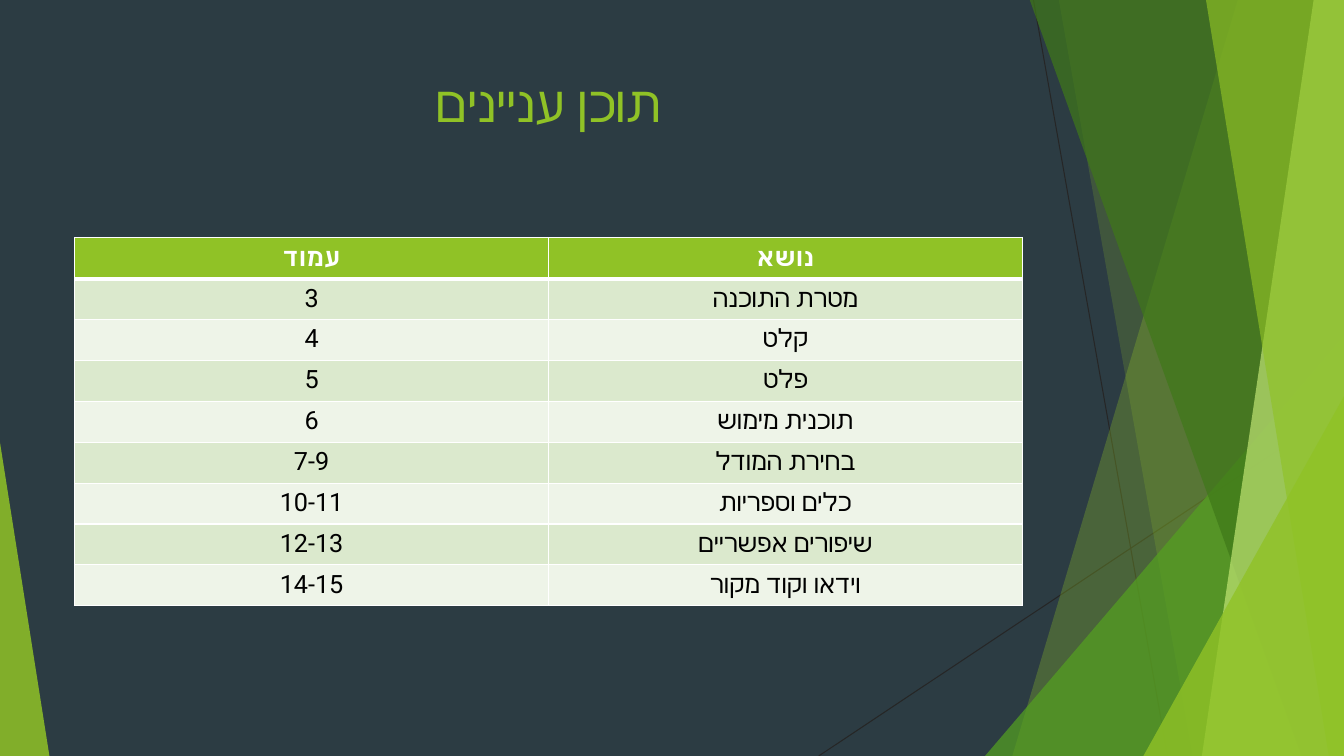
from dataclasses import dataclass

import lxml.etree
import pptx
import pptx.dml.color
import pptx.enum.shapes
import pptx.enum.text
import pptx.oxml.ns
import pptx.util

Inches = pptx.util.Inches
qn = pptx.oxml.ns.qn

FONT = "Roboto"
COLORS = {
    "background": "2C3C43", "hairline": "262626", "lime": "90C226",
    "green": "54A021", "forest": "3F7819", "pale": "C0E474",
    "white": "FFFFFF", "black": "000000",
    "odd_row": "DBE9CD", "even_row": "EEF4E8",
}
WIDTH, HEIGHT = 13.33, 7.5
TOP = -0.01


@dataclass
class Band:
    """Facet reaching the right edge; its left side runs from top_x to bottom_x."""
    top_x: float
    bottom_x: float
    color: str
    opacity: int


@dataclass
class Corner:
    """Right-angled triangle standing on the bottom edge."""
    left: float
    top: float
    width: float
    peak: float
    color: str
    opacity: int


HAIRLINES = [(10.25, 0, 11.58, HEIGHT), (WIDTH, 4.03, 8.12, HEIGHT)]
FACETS = [
    Band(12.28, 10.04, "lime", 30),
    Band(10.5, 11.83, "lime", 20),
    Corner(9.77, 3.33, 3.56, 1, "green", 72),
    Band(10.21, 12.91, "forest", 70),
    Band(13.03, 11.92, "pale", 70),
    Band(11.96, 13.18, "lime", 65),
    Corner(11.34, 3.93, 1.99, 1, "lime", 80),
    Corner(0, 4.39, 0.49, 0, "lime", 85),
]
ROWS = [
    ("עמוד", "נושא"),
    ("3", "מטרת התוכנה"),
    ("4", "קלט"),
    ("5", "פלט"),
    ("6", "תוכנית מימוש"),
    ("7-9", "בחירת המודל"),
    ("10-11", "כלים וספריות"),
    ("12-13", "שיפורים אפשריים"),
    ("14-15", "וידאו וקוד מקור"),
]


def rgb(name: str) -> pptx.dml.color.RGBColor:
    return pptx.dml.color.RGBColor.from_string(COLORS[name])


def write(frame, text: str, *, size: float, color: str, bold: bool = False) -> None:
    """Put one centred right-to-left paragraph into a text frame."""
    para = frame.paragraphs[0]
    para.alignment = pptx.enum.text.PP_ALIGN.CENTER
    para._p.get_or_add_pPr().set("rtl", "1")
    span = para.add_run()
    span.text = text
    span.font.size = pptx.util.Pt(size)
    span.font.bold = bold
    span.font.color.rgb = rgb(color)
    span.font.name = FONT
    lxml.etree.SubElement(span._r.get_or_add_rPr(), qn("a:cs"), typeface=FONT)


def add_hairline(page, x1: float, y1: float, x2: float, y2: float) -> None:
    line = page.shapes.add_connector(
        pptx.enum.shapes.MSO_CONNECTOR.STRAIGHT,
        Inches(x1), Inches(y1), Inches(x2), Inches(y2))
    line.line.color.rgb = rgb("hairline")
    line.line.width = pptx.util.Pt(0.75)
    lxml.etree.SubElement(line._element.spPr, qn("a:effectLst"))


def add_facet(page, facet: Band | Corner) -> None:
    if isinstance(facet, Band):
        builder = page.shapes.build_freeform(Inches(facet.top_x), Inches(TOP))
        corners = [(WIDTH, TOP), (WIDTH, HEIGHT), (facet.bottom_x, HEIGHT)]
        builder.add_line_segments([(Inches(x), Inches(y)) for x, y in corners])
        shape = builder.convert_to_shape()
    else:
        shape = page.shapes.add_shape(
            pptx.enum.shapes.MSO_SHAPE.ISOSCELES_TRIANGLE,
            Inches(facet.left), Inches(facet.top),
            Inches(facet.width), Inches(HEIGHT - facet.top))
        shape.adjustments[0] = facet.peak
    shape.shadow.inherit = False
    shape.line.fill.background()
    shape.fill.solid()
    shape.fill.fore_color.rgb = rgb(facet.color)
    color = shape._element.spPr.find(qn("a:solidFill"))[0]
    lxml.etree.SubElement(color, qn("a:alpha"), val=str(facet.opacity * 1000))


def add_borders(cell, bottom_width: float) -> None:
    """Rule all four sides in white; borders must precede the fill."""
    properties = cell._tc.get_or_add_tcPr()
    widths = {"a:lnL": 1, "a:lnR": 1, "a:lnT": 1, "a:lnB": bottom_width}
    for index, (tag, width) in enumerate(widths.items()):
        border = lxml.etree.Element(qn(tag), w=str(pptx.util.Pt(width)))
        fill = lxml.etree.SubElement(border, qn("a:solidFill"))
        lxml.etree.SubElement(fill, qn("a:srgbClr"), val=COLORS["white"])
        properties.insert(index, border)


def add_contents(page) -> None:
    table = page.shapes.add_table(
        len(ROWS), 2, Inches(0.74), Inches(2.36), Inches(9.4), Inches(3.65)).table
    for number, row in enumerate(ROWS):
        header = number == 0
        fill = "lime" if header else "odd_row" if number % 2 else "even_row"
        for column, text in enumerate(row):
            cell = table.cell(number, column)
            cell.fill.solid()
            cell.fill.fore_color.rgb = rgb(fill)
            add_borders(cell, 3 if header else 1)
            write(cell.text_frame, text, size=18, bold=header,
                  color="white" if header else "black")
    # The second row shares the thick rule below the header
    for cell in table.rows[1].cells:
        cell._tc.tcPr.find(qn("a:lnT")).set("w", str(pptx.util.Pt(3)))


def main() -> None:
    deck = pptx.Presentation()
    deck.slide_width, deck.slide_height = Inches(WIDTH), Inches(HEIGHT)
    page = deck.slides.add_slide(deck.slide_layouts[6])
    page.background.fill.solid()
    page.background.fill.fore_color.rgb = rgb("background")

    # Decoration
    for ends in HAIRLINES:
        add_hairline(page, *ends)
    for facet in FACETS:
        add_facet(page, facet)

    # Title
    box = page.shapes.add_textbox(Inches(0.74), Inches(0.67), Inches(9.4), Inches(1.44))
    box.text_frame.word_wrap = True
    write(box.text_frame, "תוכן עניינים", size=36, color="lime")

    # Table of contents
    add_contents(page)
    deck.save("out.pptx")


if __name__ == "__main__":
    main()
